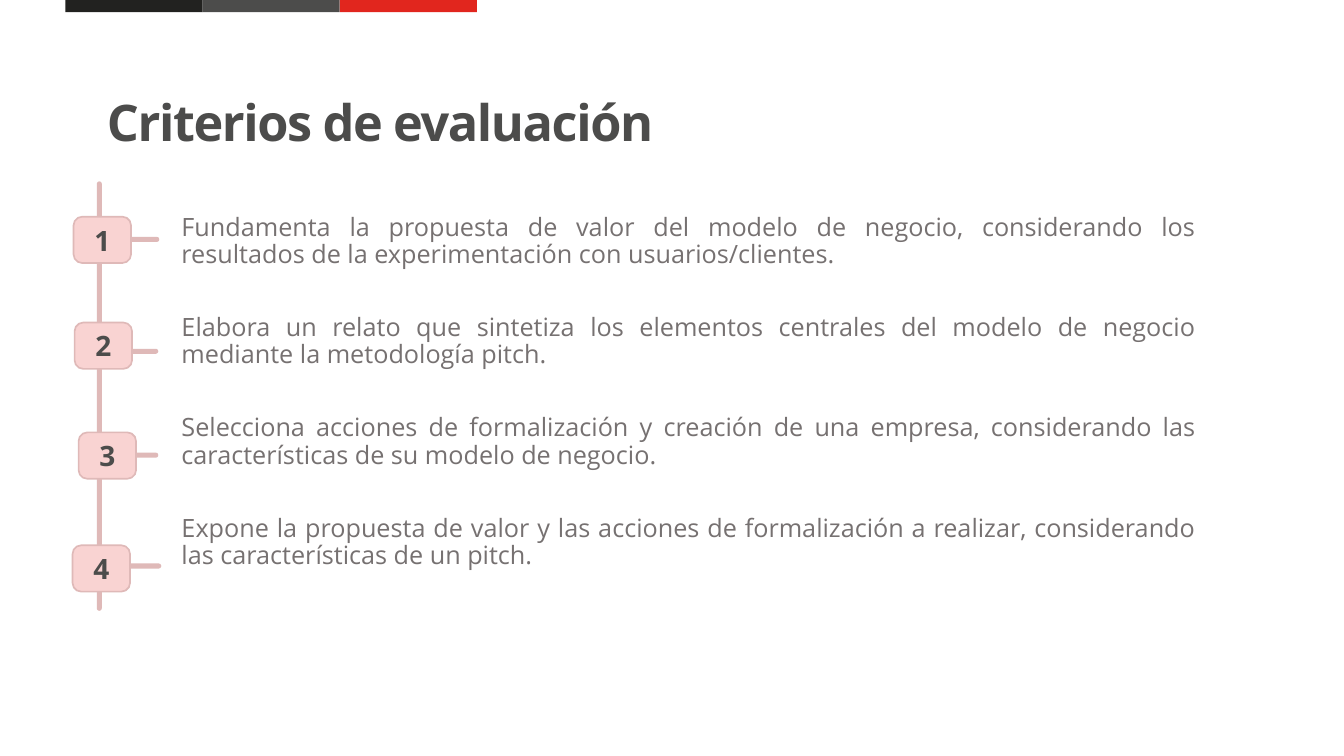
from lxml.etree import SubElement
from pptx import Presentation
from pptx.dml.color import RGBColor
from pptx.enum.shapes import MSO_SHAPE as Shape
from pptx.enum.text import MSO_ANCHOR as Anchor, MSO_AUTO_SIZE as AutoSize, PP_ALIGN as Align
from pptx.oxml.ns import qn
from pptx.util import Pt

EMU_PER_PX = 9144
FONT = "Open Sans"
BLACK = RGBColor(0x22, 0x22, 0x20)
CHARCOAL = RGBColor(0x4C, 0x4C, 0x4B)
RED = RGBColor(0xE1, 0x26, 0x1E)
GRAY = RGBColor(0x76, 0x71, 0x71)
ROSE = RGBColor(0xDF, 0xB9, 0xB8)
BLUSH = RGBColor(0xF9, 0xD3, 0xD2)

HEADING = "Criterios de evaluación"
CRITERIA = [
    "Fundamenta la propuesta de valor del modelo de negocio, considerando los "
    "resultados de la experimentación con usuarios/clientes.",
    "Elabora un relato que sintetiza los elementos centrales del modelo de negocio "
    "mediante la metodología pitch.",
    "Selecciona acciones de formalización y creación de una empresa, considerando "
    "las características de su modelo de negocio.",
    "Expone la propuesta de valor y las acciones de formalización a realizar, "
    "considerando las características de un pitch.",
]
BADGES = [(1, 35), (2, 140), (6, 249), (0, 361)]
TICKS = [(29, 55), (28, 166), (28, 269), (31, 379)]


def px(*lengths):
    return [length * EMU_PER_PX for length in lengths]


def write_text(frame, paragraphs, size, color, bold=False, align=Align.LEFT,
               anchor=Anchor.TOP, line=1.0, gap=0, tracking=0):
    frame.word_wrap = True
    frame.auto_size = AutoSize.NONE
    frame.vertical_anchor = anchor
    for index, words in enumerate(paragraphs):
        paragraph = frame.paragraphs[0] if index == 0 else frame.add_paragraph()
        properties = paragraph._p.get_or_add_pPr()
        properties.set("marL", "0")
        properties.set("indent", "0")
        SubElement(properties, qn("a:buNone"))
        paragraph.alignment = align
        paragraph.line_spacing = line
        paragraph.space_before = Pt(gap if index else 0)
        run = paragraph.add_run()
        run.text = words
        run.font.name = FONT
        run.font.size = Pt(size)
        run.font.bold = bold
        run.font.color.rgb = color
        if tracking:
            run._r.get_or_add_rPr().set("spc", str(tracking * 100))


def place(placeholder, box):
    placeholder.left, placeholder.top, placeholder.width, placeholder.height = px(*box)


def add_block(slide, kind, box, fill, border=None, rounding=None):
    block = slide.shapes.add_shape(kind, *px(*box))
    block.shadow.inherit = False
    block.fill.solid()
    block.fill.fore_color.rgb = fill
    if border is None:
        block.line.fill.background()
    else:
        block.line.color.rgb = border
        block.line.width = Pt(1.2)
    if rounding is not None:
        block.adjustments[0] = rounding
    return block


def add_stripes(slide, box):
    left, top, width, height = box
    stripe_width = width // 3
    for index, color in enumerate((BLACK, CHARCOAL, RED)):
        stripe = (left + index * stripe_width, top, stripe_width, height)
        add_block(slide, Shape.RECTANGLE, stripe, color)


def add_heading(slide, box):
    heading = slide.shapes.title
    place(heading, box)
    write_text(heading.text_frame, [HEADING], 36, CHARCOAL, bold=True,
               line=Pt(42), tracking=-1)


def add_criteria(slide, box):
    criteria = slide.placeholders[1]
    place(criteria, box)
    write_text(criteria.text_frame, CRITERIA, 18, GRAY, align=Align.JUSTIFY,
               line=0.9, gap=32.7)


def add_timeline(slide, box):
    left, top, width, height = box
    add_block(slide, Shape.ROUNDED_RECTANGLE, (left + 24, top, 5, height), ROSE, rounding=0.5)
    for x, y in TICKS:
        tick = (left + x, top + y, 57, 5)
        add_block(slide, Shape.ROUNDED_RECTANGLE, tick, ROSE, rounding=0.5)
    for number, (x, y) in enumerate(BADGES, 1):
        badge = add_block(slide, Shape.ROUNDED_RECTANGLE, (left + x, top + y, 57, 46),
                          BLUSH, border=ROSE, rounding=0.187)
        write_text(badge.text_frame, [str(number)], 20, CHARCOAL, bold=True,
                   align=Align.CENTER, anchor=Anchor.MIDDLE)


def main():
    deck = Presentation()
    deck.slide_width, deck.slide_height = px(1333, 750)
    slide = deck.slides.add_slide(deck.slide_layouts[1])
    add_stripes(slide, (65, 0, 408, 12))
    add_heading(slide, (96, 87, 947, 69))
    add_criteria(slide, (170, 208, 1026, 392))
    add_timeline(slide, (72, 180, 88, 426))
    deck.save("out.pptx")


if __name__ == "__main__":
    main()
